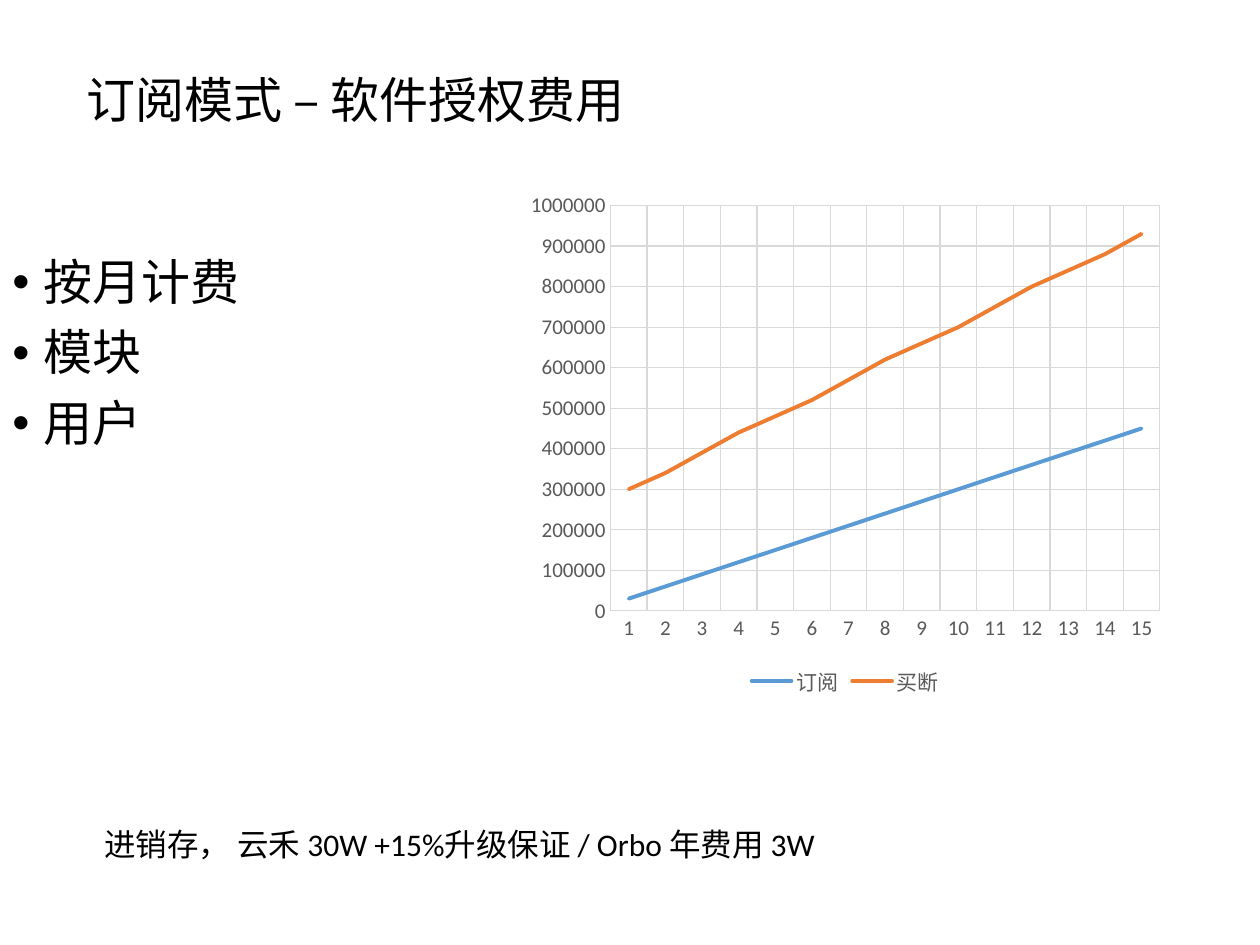
from lxml.etree import SubElement
from pptx import Presentation
from pptx.chart.data import CategoryChartData
from pptx.dml.color import RGBColor
from pptx.enum.chart import XL_CHART_TYPE, XL_LEGEND_POSITION, XL_TICK_MARK
from pptx.enum.text import MSO_ANCHOR, MSO_AUTO_SIZE
from pptx.oxml.ns import qn
from pptx.util import Inches, Pt

COLORS = {
    "text": "000000",
    "axis": "595959",
    "grid": "D9D9D9",
    "subscription": "5B9BD5",
    "buyout": "ED7D31",
}


class SlideBuilder:
    font_name = "Calibri"

    def __init__(self, slide):
        self.slide = slide

    def color(self, name):
        return RGBColor.from_string(COLORS[name])

    def style_font(self, font, size, color):
        font.name = self.font_name
        font.size = Pt(size)
        font.color.rgb = self.color(color)

    def style_line(self, line, width, color):
        line.width = Pt(width)
        line.color.rgb = self.color(color)

    def add_text(self, box, lines, size, line_spacing=1.0, space_before=0,
                 inset=None, anchor=MSO_ANCHOR.TOP, bullet=False, grow=False):
        frame = self.slide.shapes.add_textbox(*map(Inches, box)).text_frame
        frame.text = "\n".join(lines)
        frame.word_wrap = True
        frame.vertical_anchor = anchor
        frame.auto_size = MSO_AUTO_SIZE.SHAPE_TO_FIT_TEXT if grow else MSO_AUTO_SIZE.NONE
        if inset is not None:
            frame.margin_left = frame.margin_right = Inches(inset)
            frame.margin_top = frame.margin_bottom = Inches(inset)
        for paragraph in frame.paragraphs:
            paragraph.line_spacing = line_spacing
            paragraph.space_before = Pt(space_before)
            for run in paragraph.runs:
                self.style_font(run.font, size, "text")
            if bullet:
                self.add_bullet(paragraph)

    def add_bullet(self, paragraph):
        properties = paragraph._p.get_or_add_pPr()
        properties.set("marL", str(Inches(0.25)))
        properties.set("indent", str(-Inches(0.25)))
        SubElement(properties, qn("a:buFont"), typeface="Arial")
        SubElement(properties, qn("a:buChar"), char="•")

    def style_axis(self, axis):
        axis.has_major_gridlines = True
        self.style_line(axis.major_gridlines.format.line, 0.75, "grid")
        axis.major_tick_mark = axis.minor_tick_mark = XL_TICK_MARK.NONE
        self.style_font(axis.tick_labels.font, 12, "axis")

    def add_line_chart(self, box, categories, series):
        data = CategoryChartData()
        data.categories = categories
        for name, values, _ in series:
            data.add_series(name, values)
        chart = self.slide.shapes.add_chart(
            XL_CHART_TYPE.LINE, *map(Inches, box), data).chart
        self.style_font(chart.font, 10, "text")
        chart.has_title = False
        chart.has_legend = True
        chart.legend.position = XL_LEGEND_POSITION.BOTTOM
        chart.legend.include_in_layout = False
        self.style_font(chart.legend.font, 12, "axis")
        for axis in (chart.category_axis, chart.value_axis):
            self.style_axis(axis)
        self.style_line(chart.category_axis.format.line, 0.75, "grid")
        chart.value_axis.format.line.fill.background()
        chart.value_axis.minimum_scale = 0
        chart.value_axis.maximum_scale = 1000000
        chart.value_axis.major_unit = 100000
        plot = chart.plots[0]
        plot.vary_by_categories = False
        for cost, (_, _, color) in zip(plot.series, series):
            cost.smooth = False
            self.style_line(cost.format.line, 2.25, color)
            cost.format.line._get_or_add_ln().set("cap", "rnd")


def main():
    presentation = Presentation()
    presentation.slide_width = Inches(10)
    presentation.slide_height = Inches(7.5)
    builder = SlideBuilder(presentation.slides.add_slide(presentation.slide_layouts[6]))

    builder.add_text((0.69, 0.4, 8.62, 0.83), ["订阅模式 – 软件授权费用"], 28,
                     line_spacing=0.9, inset=0, anchor=MSO_ANCHOR.MIDDLE)
    builder.add_text((0, 2, 8.62, 4.76), ["按月计费", "模块", "用户"], 28,
                     line_spacing=0.9, space_before=10, bullet=True)

    years = range(1, 16)
    yearly_fee = 30000
    license_price = 300000
    upgrade_fee = license_price * 15 // 100
    buyout_costs = [round(license_price + upgrade_fee * (year - 1), -4) for year in years]
    builder.add_line_chart((4.11, 1.45, 5.2, 4.12), [str(year) for year in years], [
        ("订阅", [yearly_fee * year for year in years], "subscription"),
        ("买断", buyout_costs, "buyout"),
    ])

    builder.add_text((0.73, 6.5, 5.99, 0.4),
                     ["进销存， 云禾 30W +15%升级保证 / Orbo 年费用 3W"], 18, grow=True)
    presentation.save("out.pptx")


if __name__ == "__main__":
    main()
